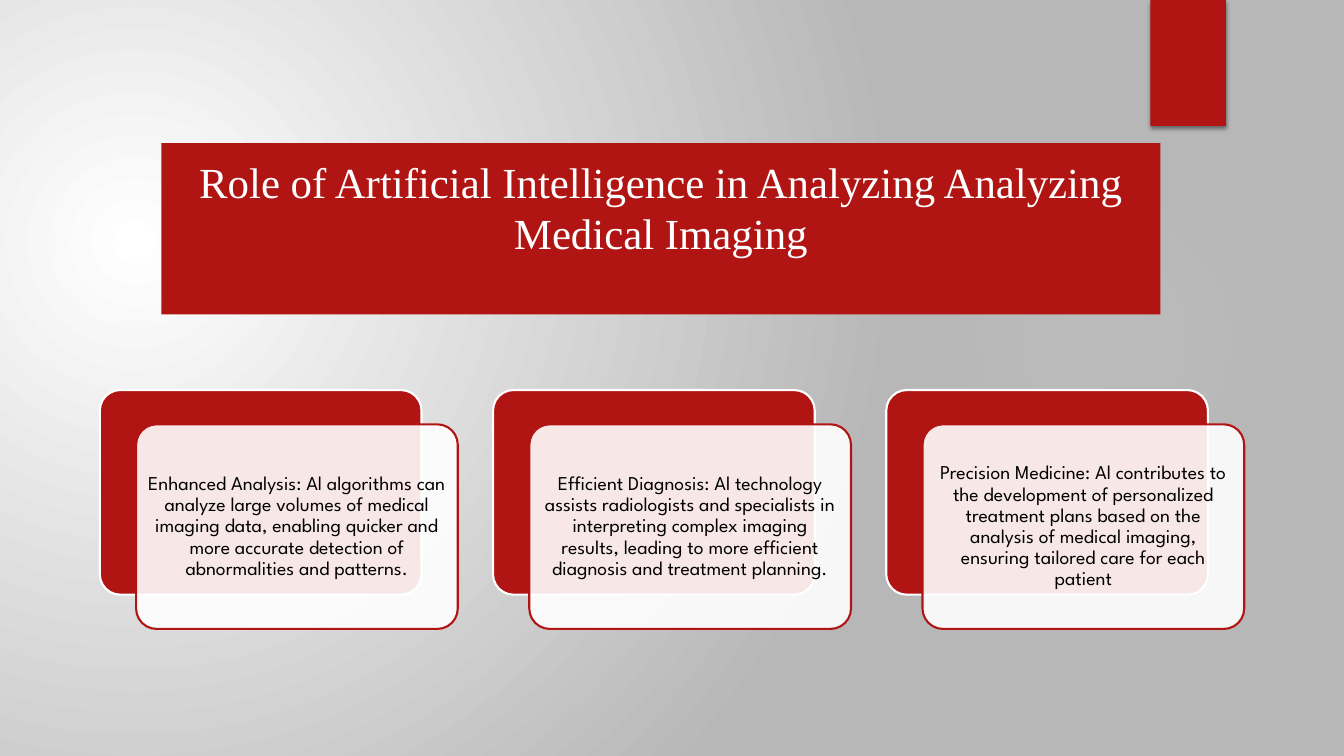
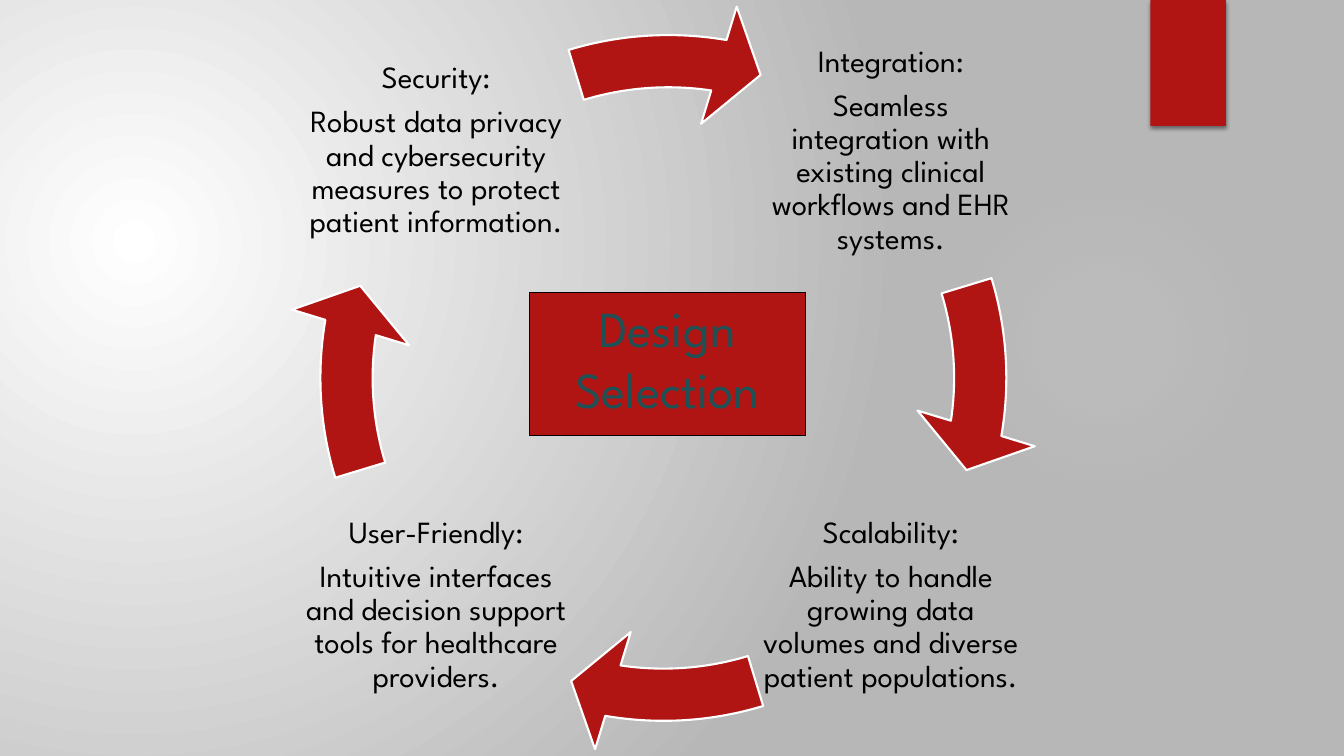
from dataclasses import dataclass

from lxml import etree
from pptx import Presentation
from pptx.dml.color import RGBColor
from pptx.enum.shapes import MSO_SHAPE
from pptx.enum.text import MSO_ANCHOR, MSO_AUTO_SIZE, PP_ALIGN
from pptx.oxml import parse_xml
from pptx.oxml.ns import nsdecls, qn
from pptx.util import Inches, Pt


@dataclass(frozen=True)
class Theme:
    accent: str = "B01513"
    white: str = "FFFFFF"
    black: str = "000000"
    teal: str = "1E5155"
    background_edge: str = "B7B7B7"
    glow: str = "F3F3F3"
    body_font: str = "League Spartan"
    title_font: str = "Times New Roman"
    title_size: float = 30.6
    hub_size: float = 36
    card_size: float = 14
    cycle_size: float = 22
    outline: float = 1.5
    thin_outline: float = 0.75


TITLE_ONLY = 5

CARDS = [
    "Enhanced Analysis: Al algorithms can analyze large volumes of medical imaging data, "
    "enabling quicker and more accurate detection of abnormalities and patterns.",
    "Efficient Diagnosis: Al technology assists radiologists and specialists in interpreting "
    "complex imaging results, leading to more efficient diagnosis and treatment planning.",
    "Precision Medicine: Al contributes to the development of personalized treatment plans "
    "based on the analysis of medical imaging, ensuring tailored care for each patient",
]

# Clockwise from the top right: left, top, heading, description
CYCLE = [
    (7.51, 0.17, "Integration:",
     "Seamless integration with existing clinical workflows and EHR systems."),
    (7.51, 4.68, "Scalability:",
     "Ability to handle growing data volumes and diverse patient populations."),
    (3, 4.68, "User-Friendly:",
     "Intuitive interfaces and decision support tools for healthcare providers."),
    (3, 0.17, "Security:",
     "Robust data privacy and cybersecurity measures to protect patient information."),
]


def radial_gradient(stops, focus):
    """Circular gradient from (position, colour, opacity) percentages and focus insets."""
    stop_xml = "".join(
        f'<a:gs pos="{position * 1000}"><a:srgbClr val="{color}">'
        f'<a:alpha val="{opacity * 1000}"/></a:srgbClr></a:gs>'
        for position, color, opacity in stops
    )
    left, top, right, bottom = (inset * 1000 for inset in focus)
    return parse_xml(
        f'<a:gradFill {nsdecls("a")} rotWithShape="1"><a:gsLst>{stop_xml}</a:gsLst>'
        f'<a:path path="circle"><a:fillToRect l="{left}" t="{top}" r="{right}" b="{bottom}"/>'
        "</a:path></a:gradFill>"
    )


def replace_solid_fill(properties, gradient):
    properties.replace(properties.find(qn("a:solidFill")), gradient)


class Deck:
    def __init__(self, theme):
        self.theme = theme
        self.presentation = Presentation()
        self.presentation.slide_width = Inches(13.33)
        self.presentation.slide_height = Inches(7.5)
        self.slide = None

    def add_slide(self):
        first = self.slide is None
        layout = self.presentation.slide_layouts[TITLE_ONLY]
        self.slide = self.presentation.slides.add_slide(layout)
        if first:
            self.decorate_master()

    def decorate_master(self):
        """Give the master its background, glow and corner ribbon."""
        theme = self.theme
        master = self.presentation.slide_master
        master.background.fill.solid()
        replace_solid_fill(
            master.element.find(".//" + qn("p:bgPr")),
            radial_gradient([(0, theme.white, 100), (100, theme.background_edge, 100)],
                            (45, 65, 125, 100)),
        )
        glow = self.add_shape(MSO_SHAPE.OVAL, 9.41, 1.83, 3.08, 3.08, theme.glow)
        replace_solid_fill(
            glow.element.spPr,
            radial_gradient([(0, theme.glow, 7), (36, theme.glow, 6), (69, theme.glow, 0)],
                            (50, 50, 50, 50)),
        )
        ribbon = self.add_shape(MSO_SHAPE.RECTANGLE, 11.41, 0, 0.75, 1.25, theme.accent)
        shadow = etree.SubElement(
            ribbon.element.spPr.find(qn("a:effectLst")), qn("a:outerShdw"),
            blurRad=str(Pt(3)), dist=str(Pt(2)), dir="5400000", rotWithShape="0")
        color = etree.SubElement(shadow, qn("a:srgbClr"), val=theme.black)
        etree.SubElement(color, qn("a:alpha"), val="45000")
        for shape in (glow, ribbon):
            master.shapes.element.append(shape.element)

    def paint(self, shape, fill, line=None, line_width=None):
        shape.fill.solid()
        shape.fill.fore_color.rgb = RGBColor.from_string(fill)
        if line:
            shape.line.color.rgb = RGBColor.from_string(line)
            shape.line.width = Pt(line_width or self.theme.outline)
        else:
            shape.line.fill.background()

    def add_shape(self, kind, left, top, width, height, fill, line=None):
        shape = self.slide.shapes.add_shape(
            kind, Inches(left), Inches(top), Inches(width), Inches(height))
        shape.shadow.inherit = False
        self.paint(shape, fill, line)
        return shape

    def set_text(self, shape, paragraphs, size, color, font, anchor=MSO_ANCHOR.MIDDLE,
                 inset=None, spacing=0.9):
        frame = shape.text_frame
        frame.word_wrap = True
        frame.auto_size = MSO_AUTO_SIZE.NONE
        frame.vertical_anchor = anchor
        if inset is not None:
            frame.margin_left = frame.margin_right = Inches(inset)
            frame.margin_top = frame.margin_bottom = Inches(inset)
        frame.text = "\n".join(paragraphs)
        for paragraph in frame.paragraphs:
            paragraph.alignment = PP_ALIGN.CENTER
            paragraph.line_spacing = spacing
            paragraph.space_before = Pt(0)
            paragraph.space_after = Pt(round(0.35 * size, 1))
            paragraph.font.size = Pt(size)
            paragraph.font.name = font
            paragraph.font.color.rgb = RGBColor.from_string(color)

    def add_title(self, text, left, top, width, height, size, color, font,
                  line=None, margin_top=0.05):
        title = self.slide.shapes.title
        title.left, title.top = Inches(left), Inches(top)
        title.width, title.height = Inches(width), Inches(height)
        self.paint(title, self.theme.accent, line, self.theme.thin_outline)
        self.set_text(title, [text], size, color, font, MSO_ANCHOR.TOP, spacing=1.0)
        title.text_frame.margin_top = Inches(margin_top)

    def add_card(self, left, top, text):
        """Red rounded panel with a translucent text panel shifted over it."""
        theme = self.theme
        back = self.add_shape(MSO_SHAPE.ROUNDED_RECTANGLE, left, top, 3.19, 2.03,
                              theme.accent, theme.white)
        front = self.add_shape(MSO_SHAPE.ROUNDED_RECTANGLE, left + 0.36, top + 0.34, 3.19, 2.03,
                               theme.white, theme.accent)
        for panel in (back, front):
            panel.adjustments[0] = 0.1
        color = front.element.spPr.find(qn("a:solidFill")).find(qn("a:srgbClr"))
        etree.SubElement(color, qn("a:alpha"), val="90000")
        self.set_text(front, [text], theme.card_size, theme.black, theme.body_font, inset=0.06)

    def add_cycle_text(self, left, top, heading, description):
        box = self.slide.shapes.add_textbox(
            Inches(left), Inches(top), Inches(2.65), Inches(2.65))
        self.set_text(box, [heading, description], self.theme.cycle_size, self.theme.black,
                      self.theme.body_font, inset=0.03)

    def add_cycle_arrow(self, left, quarter):
        """Arc arrow turned clockwise by whole quarters; 54 adjustment units are 90 degrees."""
        arrow = self.add_shape(MSO_SHAPE.CIRCULAR_ARROW, left, 0, 7.5, 7.5,
                               self.theme.accent, self.theme.white)
        turn = 54 * quarter
        values = (0.069, 4.652, 5.499 + turn, (205.849 + turn) % 216, 0.081)
        for index, value in enumerate(values):
            arrow.adjustments[index] = value


def build_role_slide(deck):
    theme = deck.theme
    deck.add_slide()
    deck.add_title("Role of Artificial Intelligence in Analyzing Analyzing Medical Imaging",
                   1.6, 1.42, 9.91, 1.7, theme.title_size, theme.white, theme.title_font,
                   margin_top=0.12)
    for index, text in enumerate(CARDS):
        deck.add_card(0.99 + 3.9 * index, 3.87, text)


def build_design_slide(deck):
    theme = deck.theme
    deck.add_slide()
    deck.add_title("Design Selection", 5.25, 2.9, 2.74, 1.42, theme.hub_size, theme.teal,
                   theme.body_font, line=theme.black)
    for quarter, (left, top, heading, description) in enumerate(CYCLE):
        deck.add_cycle_text(left, top, heading, description)
        deck.add_cycle_arrow(2.88 if quarter == 3 else 2.83, quarter)


def main():
    deck = Deck(Theme())
    build_role_slide(deck)
    build_design_slide(deck)
    deck.presentation.save("out.pptx")


if __name__ == "__main__":
    main()
